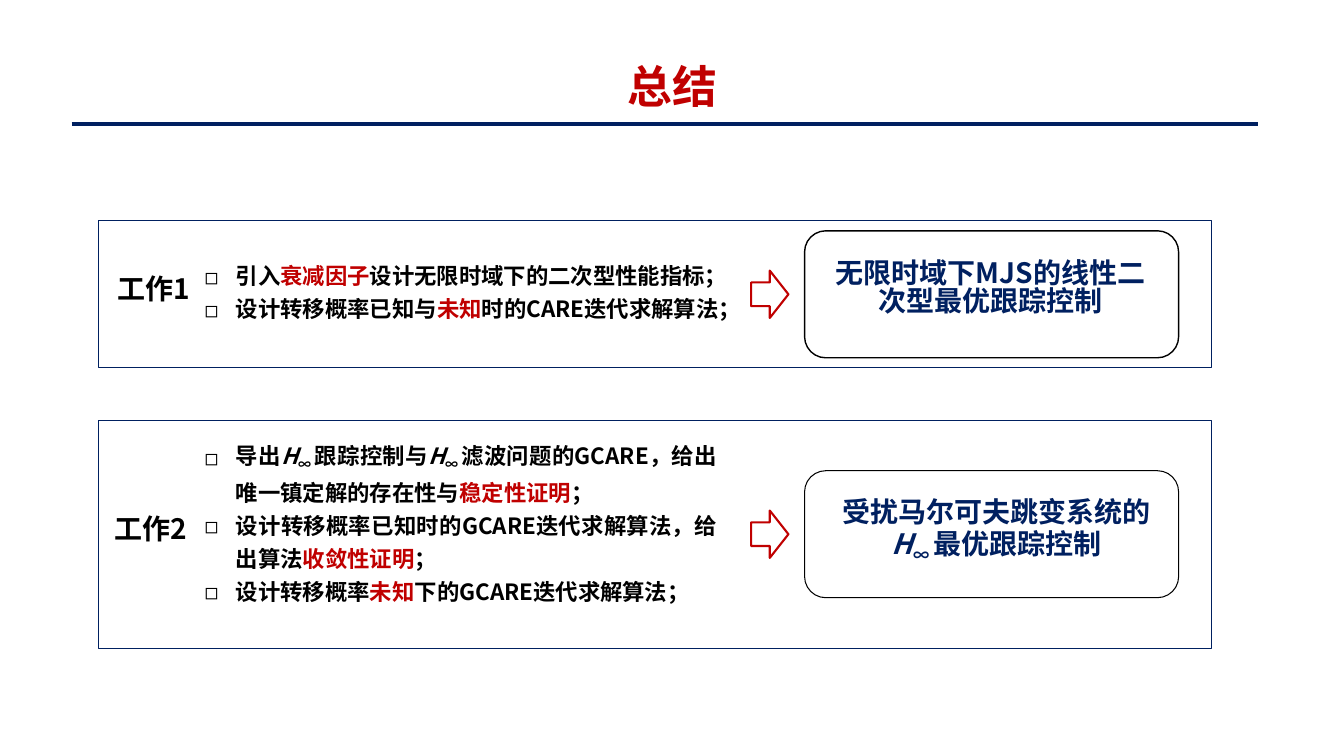
"""Builds the summary slide: two work packages, each leading to its result."""
import pptx
import pptx.dml.color
import pptx.enum.shapes
import pptx.enum.text
import pptx.util
import lxml.etree

Inches, Pt = pptx.util.Inches, pptx.util.Pt
RGBColor = pptx.dml.color.RGBColor
MSO_SHAPE = pptx.enum.shapes.MSO_SHAPE
ALIGN = pptx.enum.text.PP_ALIGN
ANCHOR = pptx.enum.text.MSO_ANCHOR

NAVY = RGBColor(0x00, 0x20, 0x60)
RED = RGBColor(0xC0, 0x00, 0x00)
BLACK = RGBColor(0, 0, 0)
WHITE = RGBColor(255, 255, 255)
FONT = "Noto Sans CJK SC"

TITLE = "总结"
H_INFINITY = [("H", "italic"), ("∞ ", "sub")]
WORKS = [
    {
        "label": "工作1", "label_left": 1.04,
        "top": 2.19, "height": 1.46,
        "points": [
            [("引入", ""), ("衰减因子", "key"), ("设计无限时域下的二次型性能指标；", "")],
            [("设计转移概率已知与", ""), ("未知", "key"), ("时的CARE迭代求解算法；", "")],
        ],
        "points_size": (5.69, 0.86),
        "result": [("无限时域下MJS的线性二次型最优跟踪控制", "")],
        "result_width": 3.29, "outline": 1,
    },
    {
        "label": "工作2", "label_left": 1.01,
        "top": 4.17, "height": 2.26,
        "points": [
            [("导出", ""), *H_INFINITY, ("跟踪控制与", ""), *H_INFINITY,
             ("滤波问题的GCARE，给出唯一镇定解的存在性与", ""), ("稳定性证明", "key"), ("；", "")],
            [("设计转移概率已知时的GCARE迭代求解算法，给出算法", ""),
             ("收敛性证明", "key"), ("；", "")],
            [("设计转移概率", ""), ("未知", "key"), ("下的GCARE迭代求解算法；", "")],
        ],
        "points_size": (5.28, 2.07),
        "result": [("受扰马尔可夫跳变系统的", ""), *H_INFINITY, ("最优跟踪控制", "")],
        "result_width": 3.41, "outline": 0.75,
    },
]


def add_xml(parent, tag, **attributes):
    """Append a DrawingML child element."""
    namespace = pptx.oxml.ns.nsdecls("a").split('"')[1]
    return lxml.etree.SubElement(parent, f"{{{namespace}}}{tag}", **attributes)


def place(shape, left, top, width, height):
    """Move a shape to a box given in inches."""
    shape.left, shape.top = Inches(left), Inches(top)
    shape.width, shape.height = Inches(width), Inches(height)


def write(paragraph, pieces, size, color, align, spacing, before=0, bullet=None):
    """Fill one paragraph with styled pieces of text."""
    paragraph.alignment = align
    paragraph.line_spacing = spacing
    paragraph.space_before = Pt(before)
    if bullet:
        properties = paragraph._p.get_or_add_pPr()
        properties.set("marL", str(Inches(0.31)))
        properties.set("indent", str(-Inches(0.31)))
        add_xml(properties, "buFont", typeface=FONT)
        add_xml(properties, "buChar", char=bullet)
    runs = []
    for text, kind in pieces:
        run = paragraph.add_run()
        run.text = text
        run.font.color.rgb = RED if kind == "key" else color
        run.font.italic = kind == "italic"
        if kind == "sub":
            run._r.get_or_add_rPr().set("baseline", "-25000")
        runs.append(run)
    for font in [paragraph.font, *(run.font for run in runs)]:
        font.size, font.bold, font.name = Pt(size), True, FONT
    for run in runs:
        add_xml(run._r.get_or_add_rPr(), "ea", typeface=FONT)


def prepare(frame, anchor=ANCHOR.TOP):
    """Make a text frame wrap at a fixed size."""
    frame.word_wrap = True
    frame.auto_size = pptx.enum.text.MSO_AUTO_SIZE.NONE
    frame.vertical_anchor = anchor
    return frame


def draw(slide, preset, box, color, weight, fill=None):
    """Add an outlined preset shape."""
    shape = slide.shapes.add_shape(preset, *map(Inches, box))
    shape.shadow.inherit = False
    shape.line.color.rgb, shape.line.width = color, Pt(weight)
    if fill is None:
        shape.fill.background()
    else:
        shape.fill.solid()
        shape.fill.fore_color.rgb = fill


def add_text(slide, box, pieces, color, spacing, before=0):
    """Add a centred text box."""
    frame = prepare(slide.shapes.add_textbox(*map(Inches, box)).text_frame)
    write(frame.paragraphs[0], pieces, 20, color, ALIGN.CENTER, spacing, before)


def add_work(slide, work, points):
    """Lay out one work package around the middle line of its frame."""
    middle = work["top"] + work["height"] / 2

    def centred(left, width, height):
        return left, middle - height / 2, width, height

    draw(slide, MSO_SHAPE.RECTANGLE, centred(0.98, 11.04, work["height"]), NAVY, 0.75)
    draw(slide, MSO_SHAPE.ROUNDED_RECTANGLE, centred(7.98, 3.71, 1.26),
         BLACK, work["outline"], WHITE)
    draw(slide, MSO_SHAPE.RIGHT_ARROW, centred(7.45, 0.37, 0.47), RED, 1.5)
    add_text(slide, centred(work["label_left"], 0.97, 0.44),
             [(work["label"], "")], BLACK, 0.82, 3)
    add_text(slide, centred(8.18, work["result_width"], 0.77), work["result"], NAVY, 0.84)

    place(points, *centred(1.93, *work["points_size"]))
    frame = prepare(points.text_frame)
    for number, pieces in enumerate(work["points"]):
        paragraph = frame.add_paragraph() if number else frame.paragraphs[0]
        write(paragraph, pieces, 16, BLACK, ALIGN.JUSTIFY, 1.23, bullet="◻")


def main():
    """Build and save the slide."""
    deck = pptx.Presentation()
    deck.slide_width, deck.slide_height = Inches(13.33), Inches(7.5)
    slide = deck.slides.add_slide(deck.slide_layouts[3])

    rule = slide.shapes.add_connector(
        pptx.enum.shapes.MSO_CONNECTOR.STRAIGHT, *map(Inches, (0.71, 1.23, 12.48, 1.23)))
    rule.line.color.rgb, rule.line.width = NAVY, Pt(3)
    add_xml(rule._element.spPr, "effectLst")

    title = slide.shapes.title
    place(title, 2.18, 0.46, 8.98, 0.71)
    heading = prepare(title.text_frame, ANCHOR.BOTTOM).paragraphs[0]
    write(heading, [(TITLE, "")], 32, RED, ALIGN.CENTER, Pt(30))

    for number, work in enumerate(WORKS, start=1):
        add_work(slide, work, slide.placeholders[number])
    deck.save("out.pptx")


if __name__ == "__main__":
    main()
